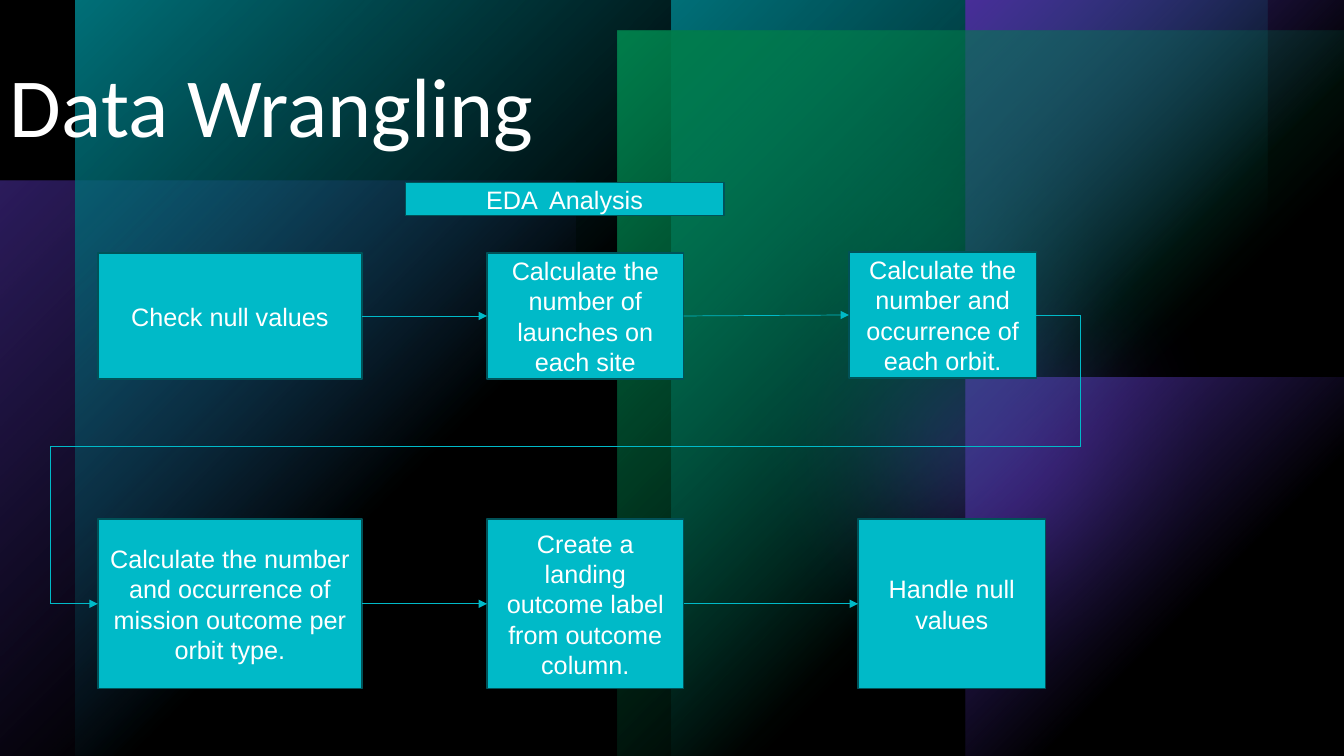
from itertools import pairwise

from lxml import etree
from pptx import Presentation
from pptx.dml.color import RGBColor
from pptx.enum.shapes import MSO_CONNECTOR, MSO_SHAPE
from pptx.enum.text import MSO_ANCHOR, PP_ALIGN
from pptx.oxml import parse_xml
from pptx.oxml.ns import nsdecls, qn
from pptx.util import Inches, Pt

RECT, OVAL = MSO_SHAPE.RECTANGLE, MSO_SHAPE.OVAL
STRAIGHT = MSO_CONNECTOR.STRAIGHT
CENTER = PP_ALIGN.CENTER
TOP, MIDDLE = MSO_ANCHOR.TOP, MSO_ANCHOR.MIDDLE

COLORS = {
    "black": "000000",
    "white": "FFFFFF",
    "teal": "00BAC8",
    "dark_teal": "005258",
    "green": "00D17D",
    "purple": "794DFF",
}
RGB = {name: RGBColor.from_string(value) for name, value in COLORS.items()}
BOX_FONT = {"name": "Arial", "size": Pt(18)}
TITLE_FONT = {"name": "Calibri", "size": Pt(60)}

prs = Presentation()
prs.slide_width, prs.slide_height = Inches(13.33), Inches(7.5)
s = prs.slides.add_slide(prs.slide_layouts[6])
s.background.fill.solid()
s.background.fill.fore_color.rgb = RGB["black"]


def add_panel(shape, box, color, opacity, glow=False, soft_edge=0):
    """Add a borderless translucent panel; a glow fades out from its top-left corner."""
    sp = s.shapes.add_shape(shape, *map(Inches, box))
    sp.shadow.inherit = False
    sp.line.fill.background()
    sp.fill.solid()
    sp.fill.fore_color.rgb = RGB[color]
    solid = sp._element.spPr.find(qn("a:solidFill"))
    if glow:
        stops = "".join(
            f'<a:gs pos="{pos * 1000}"><a:srgbClr val="{COLORS[color]}">'
            f'<a:alpha val="{alpha * 1000}"/></a:srgbClr></a:gs>'
            for pos, alpha in ((0, opacity), (60, 0))
        )
        gradient = parse_xml(
            f'<a:gradFill {nsdecls("a")}><a:gsLst>{stops}</a:gsLst>'
            '<a:path path="circle"><a:fillToRect r="100000" b="100000"/></a:path></a:gradFill>'
        )
        solid.getparent().replace(solid, gradient)
    else:
        etree.SubElement(solid[0], qn("a:alpha"), val=str(opacity * 1000))
    if soft_edge:
        effects = sp._element.spPr.find(qn("a:effectLst"))
        etree.SubElement(effects, qn("a:softEdge"), rad=str(Inches(soft_edge)))


def write(sp, text, font, anchor, align=None):
    tf = sp.text_frame
    tf.word_wrap = True
    tf.vertical_anchor = anchor
    p = tf.paragraphs[0]
    p.alignment = align
    r = p.add_run()
    r.text = text
    r.font.color.rgb = RGB["white"]
    for name, value in font.items():
        setattr(r.font, name, value)
    return p


# Backdrop
add_panel(RECT, (0, 1.79, 5.71, 5.71), "purple", 60, glow=True)
add_panel(OVAL, (6.98, 0, 4.72, 4.72), "green", 96, soft_edge=1.39)
add_panel(OVAL, (6.69, 1.35, 6.02, 6.02), "purple", 60, soft_edge=1.39)
for box, color in (
    ((6.66, 0, 5.91, 7.5), "teal"),
    ((0.75, 0, 5.91, 7.5), "teal"),
    ((9.58, 3.75, 3.75, 3.75), "purple"),
    ((9.58, 0, 3.75, 3.75), "purple"),
    ((6.13, 0.3, 7.2, 7.2), "green"),
):
    add_panel(RECT, box, color, 100, glow=True)
add_panel(RECT, (0, 0, 13.33, 7.5), "black", 40)

# Title
title = s.shapes.add_textbox(Inches(0), Inches(0.59), Inches(12.14), Inches(1.42))
write(title, "Data Wrangling", TITLE_FONT, TOP).line_spacing = 0.9

# Steps
steps = [
    ((0.97, 2.51, 2.62, 1.25), "Check null values"),
    ((4.83, 2.51, 1.95, 1.25), "Calculate the number of launches on each site"),
    ((8.42, 2.5, 1.86, 1.25), "Calculate the number and occurrence of each orbit."),
    ((0.97, 5.15, 2.62, 1.68),
     "Calculate the number and occurrence of mission outcome per orbit type."),
    ((4.83, 5.15, 1.95, 1.68), "Create a landing outcome label from outcome column."),
    ((8.51, 5.15, 1.86, 1.68), "Handle null values"),
]
heading = ((4.02, 1.81, 3.16, 0.33), "EDA  Analysis")
for box, text in steps + [heading]:
    sp = s.shapes.add_shape(RECT, *map(Inches, box))
    sp.shadow.inherit = False
    sp.fill.solid()
    sp.fill.fore_color.rgb = RGB["teal"]
    sp.line.color.rgb = RGB["dark_teal"]
    sp.line.width = Pt(1)
    write(sp, text, BOX_FONT, MIDDLE, CENTER)

# Arrows run from the right side of each step to the left side of the next
for (start, _), (end, _) in pairwise(steps):
    x1, y1 = start[0] + start[2], start[1] + start[3] / 2
    x2, y2 = end[0], end[1] + end[3] / 2
    route = [(x1, y1), (x2, y2)]
    if x2 < x1:
        route[1:1] = [(10.72, y1), (10.72, 4.43), (0.5, 4.43), (0.5, y2)]
    for a, b in pairwise(route):
        line = s.shapes.add_connector(STRAIGHT, *map(Inches, a + b))
        line.line.color.rgb = RGB["teal"]
        line.line.width = Pt(0.5)
        if b == route[-1]:
            etree.SubElement(line.line._get_or_add_ln(), qn("a:tailEnd"), type="triangle")
        etree.SubElement(line._element.spPr, qn("a:effectLst"))

prs.save("out.pptx")
